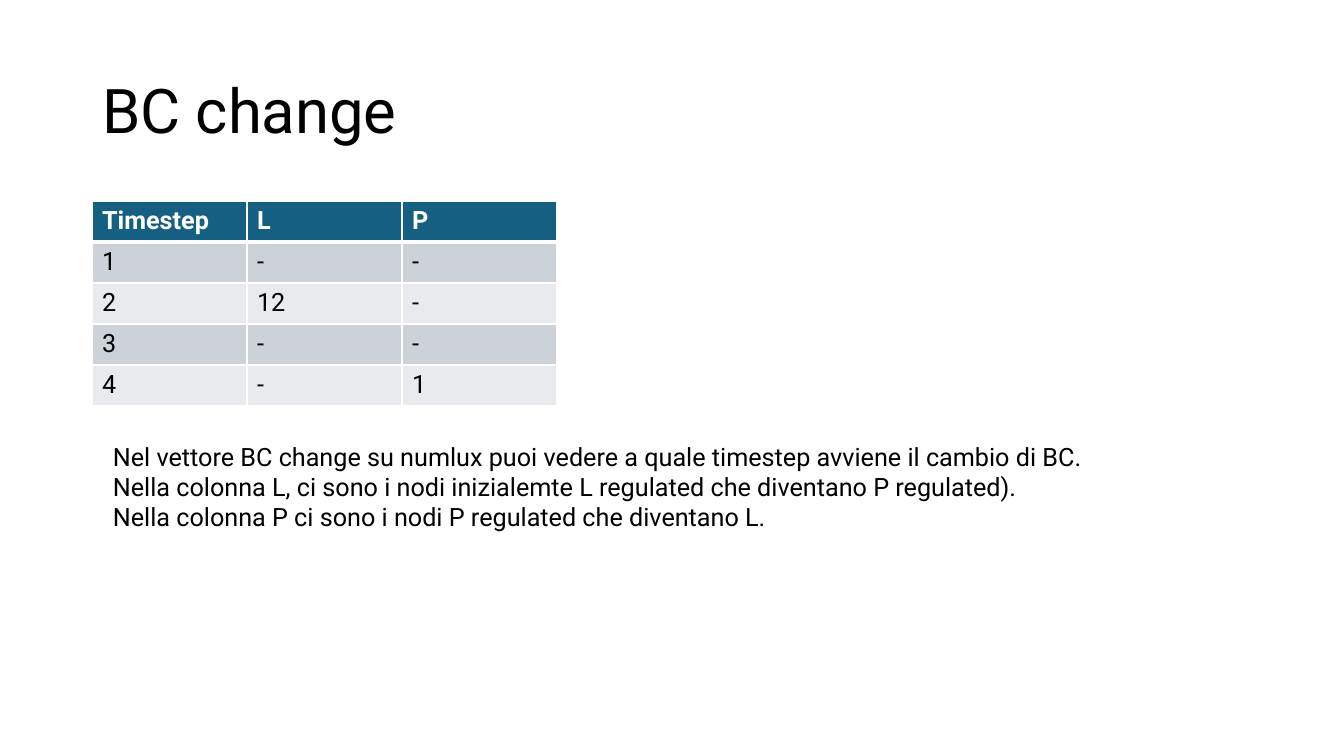
from dataclasses import dataclass

from lxml.etree import SubElement
from pptx import Presentation
from pptx.dml.color import RGBColor
from pptx.enum.text import MSO_ANCHOR as Anchor, MSO_AUTO_SIZE as AutoSize, PP_ALIGN as Align
from pptx.oxml.ns import qn
from pptx.util import Pt

TITLE = "BC change"
TABLE_ROWS = [
    ("Timestep", "L", "P"),
    ("1", "-", "-"),
    ("2", "12", "-"),
    ("3", "-", "-"),
    ("4", "-", "1"),
]
EXPLANATION = [
    "Nel vettore BC change su numlux puoi vedere a quale timestep avviene il cambio di BC.",
    "Nella colonna L, ci sono i nodi inizialemte L regulated che diventano P regulated).",
    "Nella colonna P ci sono i nodi P regulated che diventano L.",
]

EMU_PER_PX = 914400 / 100.8
SLIDE_SIZE = (1344, 756)
TITLE_BOX = (92, 41, 1159, 146)
TABLE_ORIGIN = (92, 201)
COLUMN_WIDTH, ROW_HEIGHT = 155, 41
EXPLANATION_BOX = (103, 436, 1136, 102)


@dataclass(frozen=True)
class Theme:
    font: str = "Roboto"
    title_size: int = 44
    body_size: int = 18
    text: str = "000000"
    light: str = "FFFFFF"
    header: str = "156082"
    bands: tuple = ("CCD2D8", "E8EAED")
    border: int = 1
    header_border: int = 3


THEME = Theme()


def px(*lengths):
    return [round(length * EMU_PER_PX) for length in lengths]


def write(frame, lines, size=THEME.body_size, color=THEME.text, bold=False, spacing=None):
    for index, line in enumerate(lines):
        paragraph = frame.add_paragraph() if index else frame.paragraphs[0]
        paragraph.alignment = Align.LEFT
        paragraph.line_spacing = spacing
        run = paragraph.add_run()
        run.text = line
        run.font.name = THEME.font
        run.font.size = Pt(size)
        run.font.bold = bold
        run.font.color.rgb = RGBColor.from_string(color)


def set_borders(cell, top, bottom):
    """Draw the four cell borders; must run before the cell is filled."""
    properties = cell._tc.get_or_add_tcPr()
    widths = {"lnL": THEME.border, "lnR": THEME.border, "lnT": top, "lnB": bottom}
    for side, width in widths.items():
        line = SubElement(properties, qn(f"a:{side}"), w=str(Pt(width)))
        fill = SubElement(line, qn("a:solidFill"))
        SubElement(fill, qn("a:srgbClr"), val=THEME.light)


def add_title(slide):
    title = slide.shapes.title
    title.left, title.top, title.width, title.height = px(*TITLE_BOX)
    frame = title.text_frame
    frame.word_wrap = True
    frame.vertical_anchor = Anchor.MIDDLE
    write(frame, [TITLE], size=THEME.title_size, spacing=0.9)


def add_timestep_table(slide):
    row_count, column_count = len(TABLE_ROWS), len(TABLE_ROWS[0])
    size = (COLUMN_WIDTH * column_count, ROW_HEIGHT * row_count)
    table = slide.shapes.add_table(row_count, column_count, *px(*TABLE_ORIGIN, *size)).table
    for column in table.columns:
        column.width = px(COLUMN_WIDTH)[0]
    for index, values in enumerate(TABLE_ROWS):
        table.rows[index].height = px(ROW_HEIGHT)[0]
        is_header = index == 0
        fill = THEME.header if is_header else THEME.bands[(index - 1) % 2]
        top = THEME.header_border if index == 1 else THEME.border
        bottom = THEME.header_border if is_header else THEME.border
        for cell, value in zip(table.rows[index].cells, values):
            set_borders(cell, top, bottom)
            cell.fill.solid()
            cell.fill.fore_color.rgb = RGBColor.from_string(fill)
            color = THEME.light if is_header else THEME.text
            write(cell.text_frame, [value], color=color, bold=is_header)


def add_explanation(slide):
    frame = slide.shapes.add_textbox(*px(*EXPLANATION_BOX)).text_frame
    frame.word_wrap = True
    frame.auto_size = AutoSize.SHAPE_TO_FIT_TEXT
    write(frame, EXPLANATION)


def main():
    presentation = Presentation()
    presentation.slide_width, presentation.slide_height = px(*SLIDE_SIZE)
    title_only = presentation.slide_layouts.get_by_name("Title Only")
    slide = presentation.slides.add_slide(title_only)
    add_title(slide)
    add_timestep_table(slide)
    add_explanation(slide)
    presentation.save("out.pptx")


if __name__ == "__main__":
    main()
